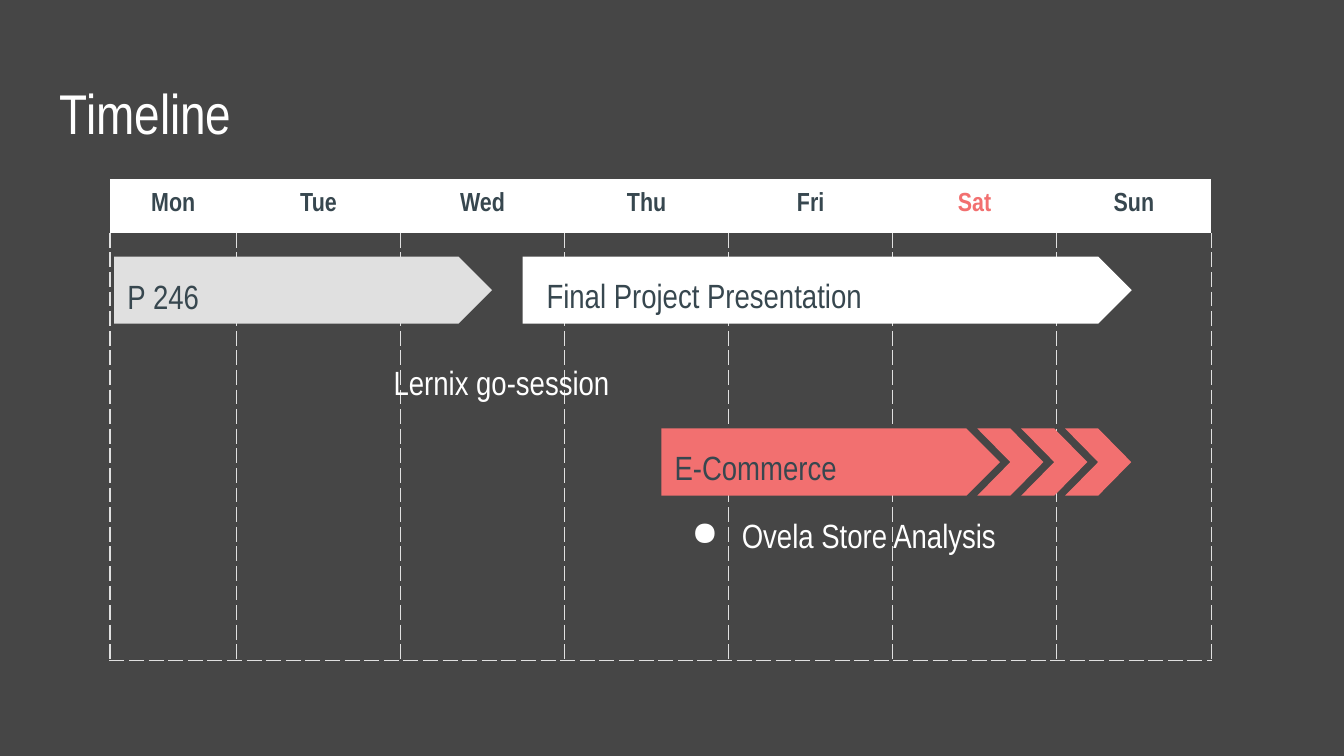
from lxml import etree
from pptx import Presentation
from pptx.dml.color import RGBColor
from pptx.enum.shapes import MSO_SHAPE
from pptx.enum.text import PP_ALIGN
from pptx.oxml import parse_xml
from pptx.oxml.ns import nsdecls, qn
from pptx.util import Cm, Pt

PENTAGON = MSO_SHAPE.PENTAGON
CHEVRON = MSO_SHAPE.CHEVRON
CENTER = PP_ALIGN.CENTER
FONT = "Arial Narrow"
NO_STYLE = "{2D5ABB26-0587-4C30-8999-92F81FD0307C}"
COLORS = {
    "background": "464646",
    "white": "FFFFFF",
    "gray": "E0E0E0",
    "slate": "37474F",
    "coral": "F27070",
}
INSET = Cm(0.25)
BAR_HEIGHT = 1.27


def add_text(text, left, top, width, height, size, color, spacing):
    box = slide.shapes.add_textbox(Cm(left), Cm(top), Cm(width), Cm(height))
    frame = box.text_frame
    frame.word_wrap = True
    frame.margin_left = frame.margin_right = INSET
    frame.margin_top = frame.margin_bottom = INSET
    frame.text = text
    paragraph = frame.paragraphs[0]
    paragraph.line_spacing = spacing
    font = paragraph.runs[0].font
    font.name = FONT
    font.size = Pt(size)
    font.color.rgb = RGBColor.from_string(COLORS[color])
    return paragraph


def add_bar(shapes, kind, left, top, width, color):
    shape = shapes.add_shape(kind, Cm(left), Cm(top), Cm(width), Cm(BAR_HEIGHT))
    shape.adjustments[0] = 0.5
    shape.shadow.inherit = False
    shape.fill.solid()
    shape.fill.fore_color.rgb = RGBColor.from_string(COLORS[color])
    shape.line.fill.background()


presentation = Presentation()
presentation.slide_width = Cm(25.4)
presentation.slide_height = Cm(14.29)
slide = presentation.slides.add_slide(presentation.slide_layouts[6])
slide.background.fill.solid()
slide.background.fill.fore_color.rgb = RGBColor.from_string(COLORS["background"])

days = ["Mon", "Tue", "Wed", "Thu", "Fri", "Sat", "Sun"]
column_widths = [2.39] + [3.1] * 5 + [2.92]
row_heights = [1.02, 8.08]
calendar = slide.shapes.add_table(
    2, len(days), Cm(2.08), Cm(3.38), Cm(sum(column_widths)), Cm(sum(row_heights))
).table
calendar.first_row = False
calendar.horz_banding = False
calendar._tbl.tblPr.find(qn("a:tableStyleId")).text = NO_STYLE
for row, height in zip(calendar.rows, row_heights):
    row.height = Cm(height)

for index, (day, width) in enumerate(zip(days, column_widths)):
    calendar.columns[index].width = Cm(width)
    header = calendar.cell(0, index)
    header.margin_left = header.margin_right = INSET
    header.margin_top = header.margin_bottom = INSET
    header.fill.solid()
    header.fill.fore_color.rgb = RGBColor.from_string(COLORS["white"])
    header.text_frame.text = day
    paragraph = header.text_frame.paragraphs[0]
    paragraph.alignment = CENTER
    font = paragraph.runs[0].font
    font.name = FONT
    font.size = Pt(14)
    font.bold = True
    font.color.rgb = RGBColor.from_string(COLORS["coral" if day == "Sat" else "slate"])

    body = calendar.cell(1, index)
    properties = body._tc.get_or_add_tcPr()
    for side in ("lnL", "lnR", "lnB"):
        properties.append(parse_xml(
            f'<a:{side} {nsdecls("a")} w="{Pt(0.75)}"><a:solidFill>'
            f'<a:srgbClr val="{COLORS["gray"]}"/></a:solidFill>'
            f'<a:prstDash val="dash"/></a:{side}>'
        ))
    body.fill.background()

add_bar(slide.shapes, PENTAGON, 2.16, 4.85, 7.14, "gray")
add_bar(slide.shapes, PENTAGON, 9.88, 4.85, 11.51, "white")
commerce_group = slide.shapes.add_group_shape()
add_bar(commerce_group.shapes, PENTAGON, 12.5, 8.1, 6.4, "coral")
for step in range(3):
    add_bar(commerce_group.shapes, CHEVRON, 18.47 + 0.83 * step, 8.1, 1.25, "coral")

add_text("Timeline", 0.87, 1.24, 23.67, 1.6, 30, "white", 1)
labels = [
    ("P 246", 2.16, 4.85, 6.55, 1.27, "slate"),
    ("Final Project Presentation", 10.08, 4.83, 10.03, 1.27, "slate"),
    ("Lernix go-session", 7.19, 6.48, 5.94, 1.27, "white"),
    ("E-Commerce", 12.5, 8.08, 7.34, 1.27, "slate"),
    ("Ovela Store Analysis", 12.5, 9.37, 9.53, 2.79, "white"),
]
for text, left, top, width, height, color in labels:
    paragraph = add_text(text, left, top, width, height, 18, color, 1.15)

bullet_properties = paragraph._p.get_or_add_pPr()
bullet_properties.set("marL", str(Cm(1.27)))
bullet_properties.set("indent", str(Cm(-0.95)))
bullet_color = etree.SubElement(bullet_properties, qn("a:buClr"))
etree.SubElement(bullet_color, qn("a:srgbClr"), val=COLORS["white"])
etree.SubElement(bullet_properties, qn("a:buChar"), char="●")

presentation.save("out.pptx")
